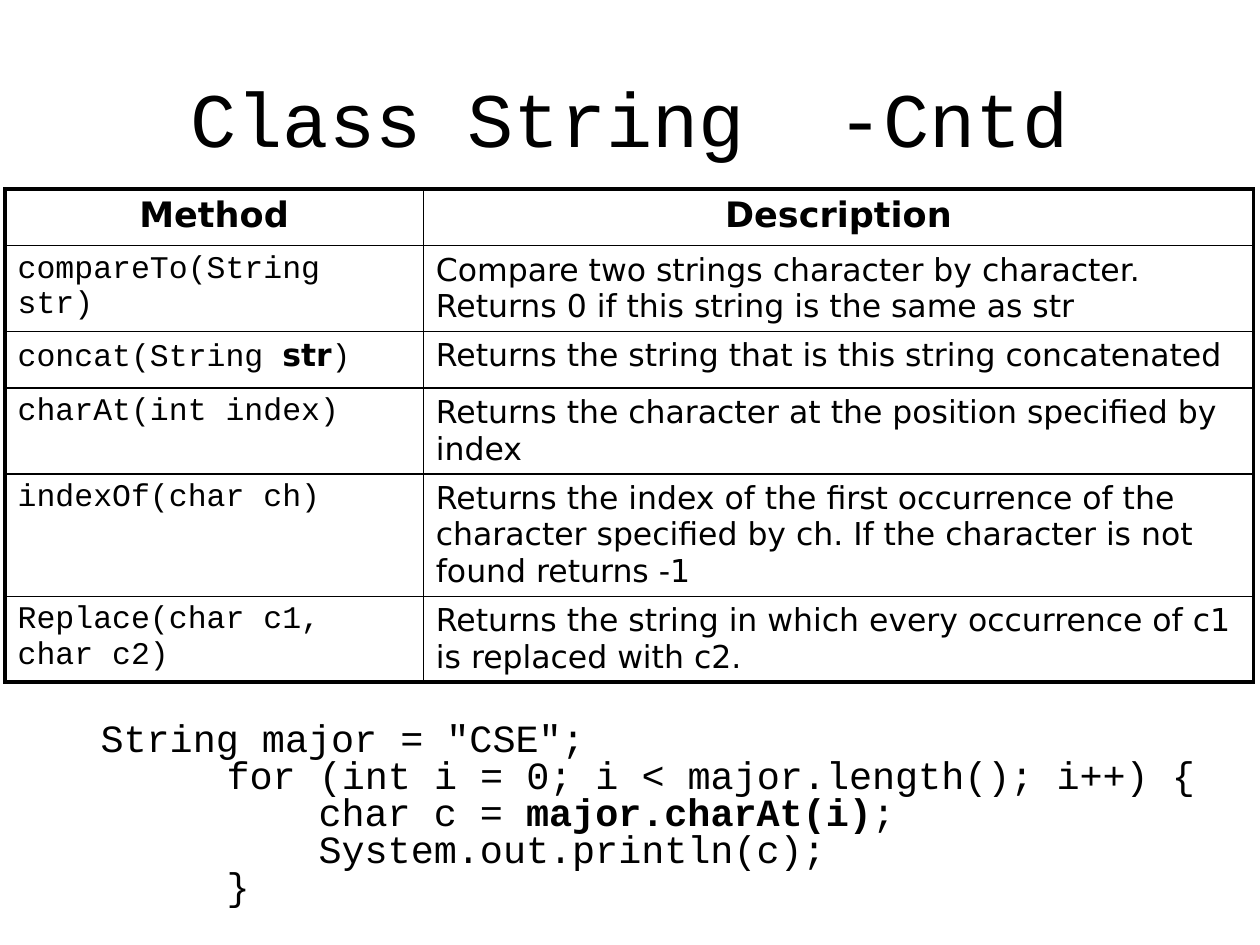
"""Builds the slide on String methods with a table and a code sample."""
from lxml import etree
from pptx import Presentation
from pptx.dml.color import RGBColor
from pptx.enum.text import MSO_ANCHOR, PP_ALIGN
from pptx.oxml.ns import qn
from pptx.util import Inches, Pt

CENTER, LEFT = PP_ALIGN.CENTER, PP_ALIGN.LEFT
TOP, MIDDLE = MSO_ANCHOR.TOP, MSO_ANCHOR.MIDDLE
CODE_FONT, TEXT_FONT = "Courier New", "DejaVu Sans"
BLACK = "000000"
THIN, THICK = 1, 2.25

TITLE = "Class String  -Cntd"
HEADERS = ("Method", "Description")
METHODS = [
    (["compareTo(String str)"],
     "Compare two strings character by character. Returns 0 if this string is the same as str"),
    (["concat(String ", ("str", {"font": TEXT_FONT, "bold": True}), ")"],
     "Returns the string that is this string concatenated"),
    (["charAt(int index)"],
     "Returns the character at the position specified by index"),
    (["indexOf(char ch)"],
     "Returns the index of the first occurrence of the character specified by ch. "
     "If the character is not found returns -1"),
    (["Replace(char c1, char c2)"],
     "Returns the string in which every occurrence of c1 is replaced with c2."),
]
COLUMN_WIDTHS = (3.32, 6.59)
ROW_HEIGHTS = (0.45, 0.68, 0.45, 0.68, 0.97, 0.68)
CODE_INDENTS = (0.5, 1.5, 2.23)
CODE = [
    (0, ['String major = "CSE";']),
    (1, ["for (int i = 0; i < major.length(); i++) {"]),
    (2, ["char c = ", ("major.charAt(i)", {"bold": True}), ";"]),
    (2, ["System.out.println(c);"]),
    (1, ["}"]),
]


def color(value):
    return RGBColor.from_string(value)


def write(paragraph, parts, align=LEFT, **base):
    paragraph.alignment = align
    for part in parts:
        text, changes = (part, {}) if isinstance(part, str) else part
        style = {"font": CODE_FONT, "size": 18, "bold": False, **base, **changes}
        run = paragraph.add_run()
        run.text = text
        run.font.name = style["font"]
        run.font.size = Pt(style["size"])
        run.font.bold = style["bold"]
        run.font.color.rgb = color(BLACK)


def add_text_frame(slide, left, top, width, height, anchor=TOP):
    box = slide.shapes.add_textbox(Inches(left), Inches(top), Inches(width), Inches(height))
    frame = box.text_frame
    frame.word_wrap = True
    frame.vertical_anchor = anchor
    return frame


def set_borders(cell, widths):
    properties = cell._tc.get_or_add_tcPr()
    for position, (side, width) in enumerate(widths.items()):
        line = etree.Element(qn(f"a:ln{side}"), w=str(Pt(width)))
        fill = etree.SubElement(line, qn("a:solidFill"))
        etree.SubElement(fill, qn("a:srgbClr"), val=BLACK)
        properties.insert(position, line)


def add_methods_table(slide):
    rows = [([HEADERS[0]], HEADERS[1])] + METHODS
    last_row, last_column = len(rows) - 1, len(HEADERS) - 1
    frame = slide.shapes.add_table(
        len(rows), len(HEADERS), Inches(0.04), Inches(1.5),
        Inches(sum(COLUMN_WIDTHS)), Inches(sum(ROW_HEIGHTS)))
    table = frame.table
    for column, width in zip(table.columns, COLUMN_WIDTHS):
        column.width = Inches(width)
    for row, height in zip(table.rows, ROW_HEIGHTS):
        row.height = Inches(height)
    for r, (method, description) in enumerate(rows):
        for c, (parts, font) in enumerate([(method, CODE_FONT), ([description], TEXT_FONT)]):
            cell = table.cell(r, c)
            cell.fill.background()
            style = {"font": font}
            if r == 0:
                style = {"font": TEXT_FONT, "size": 20, "bold": True, "align": CENTER}
            write(cell.text_frame.paragraphs[0], parts, **style)
            set_borders(cell, {
                "L": THICK if c == 0 else THIN,
                "R": THICK if c == last_column else THIN,
                "T": THICK if r == 0 else THIN,
                "B": THICK if r == last_row else THIN,
            })


def add_code(slide):
    frame = add_text_frame(slide, 0.2, 5.69, 9.61, 1.6)
    for number, (level, parts) in enumerate(CODE):
        paragraph = frame.add_paragraph() if number else frame.paragraphs[0]
        write(paragraph, parts, size=22)
        paragraph.line_spacing = 0.8
        properties = paragraph._p.get_or_add_pPr()
        properties.set("marL", str(Inches(CODE_INDENTS[level])))
        properties.set("indent", "0")


presentation = Presentation()
presentation.slide_width, presentation.slide_height = Inches(10), Inches(7.5)
slide = presentation.slides.add_slide(presentation.slide_layouts[6])
add_methods_table(slide)
title = add_text_frame(slide, 0.5, 0.3, 9, 1.25, anchor=MIDDLE)
write(title.paragraphs[0], [TITLE], align=CENTER, size=44)
add_code(slide)
presentation.save("out.pptx")
